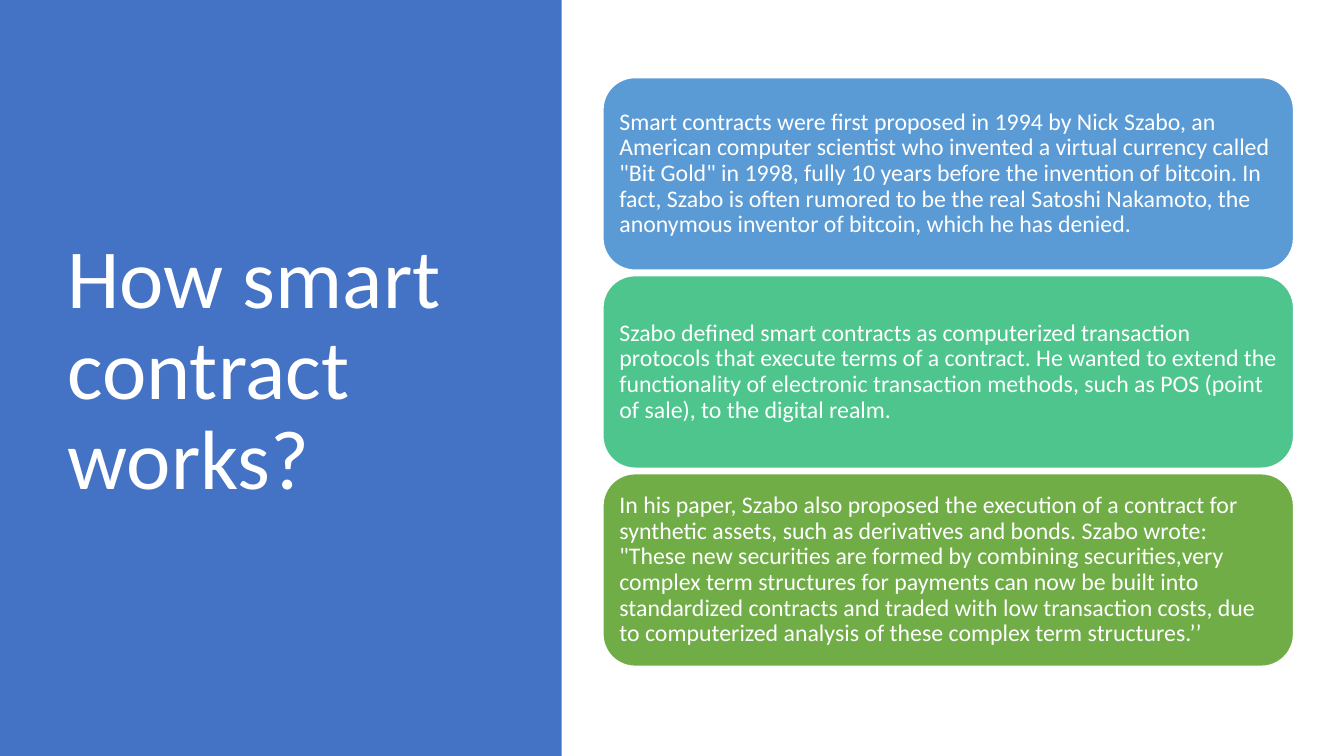
"""Build the slide on how smart contracts work."""
from pptx import Presentation
from pptx.dml.color import RGBColor
from pptx.enum.shapes import MSO_SHAPE
from pptx.enum.text import MSO_ANCHOR, PP_ALIGN
from pptx.util import Inches, Pt

COLORS = {
    "panel": "4472C4",
    "origin": "5B9BD5",
    "definition": "4DC58D",
    "proposal": "70AD47",
    "white": "FFFFFF",
}
FACTS = [
    ("origin", "Smart contracts were first proposed in 1994 by Nick Szabo, an American "
     "computer scientist who invented a virtual currency called \"Bit Gold\" in 1998, "
     "fully 10 years before the invention of bitcoin. In fact, Szabo is often rumored "
     "to be the real Satoshi Nakamoto, the anonymous inventor of bitcoin, which he has "
     "denied."),
    ("definition", "Szabo defined smart contracts as computerized transaction protocols "
     "that execute terms of a contract. He wanted to extend the functionality of "
     "electronic transaction methods, such as POS (point of sale), to the digital realm."),
    ("proposal", "In his paper, Szabo also proposed the execution of a contract for "
     "synthetic assets, such as derivatives and bonds. Szabo wrote: \"These new "
     "securities are formed by combining securities,very complex term structures for "
     "payments can now be built into standardized contracts and traded with low "
     "transaction costs, due to computerized analysis of these complex term "
     "structures.’’"),
]
CARD_TOP, CARD_HEIGHT, CARD_PITCH = 0.77, 1.91, 1.965


def add_block(kind, left, top, width, height, color):
    block = slide.shapes.add_shape(
        kind, Inches(left), Inches(top), Inches(width), Inches(height))
    block.shadow.inherit = False
    block.fill.solid()
    block.fill.fore_color.rgb = RGBColor.from_string(COLORS[color])
    block.line.fill.background()
    return block


def write(frame, text, size):
    frame.word_wrap = True
    frame.vertical_anchor = MSO_ANCHOR.MIDDLE
    paragraph = frame.paragraphs[0]
    paragraph.alignment = PP_ALIGN.LEFT
    paragraph.line_spacing = 0.9
    run = paragraph.add_run()
    run.text = text
    run.font.size = Pt(size)
    run.font.name = "Calibri"
    run.font.color.rgb = RGBColor.from_string(COLORS["white"])
    return paragraph


prs = Presentation()
prs.slide_width = Inches(13.33)
prs.slide_height = Inches(7.5)
slide = prs.slides.add_slide(prs.slide_layouts[5])

title = slide.shapes.title
title.left, title.top = Inches(0.57), Inches(0.68)
title.width, title.height = Inches(4.16), Inches(6.02)
write(title.text_frame, "How smart contract works?", 60)

panel = add_block(MSO_SHAPE.RECTANGLE, 0, 0, 5.57, 7.5, "panel")
title.element.addprevious(panel.element)

for row, (topic, fact) in enumerate(FACTS):
    card = add_block(MSO_SHAPE.ROUNDED_RECTANGLE, 5.98, CARD_TOP + row * CARD_PITCH,
                     6.85, CARD_HEIGHT, topic)
    card.line.color.rgb = RGBColor.from_string(COLORS["white"])
    card.line.width = Pt(1)
    frame = card.text_frame
    frame.margin_left = frame.margin_right = Inches(0.07)
    frame.margin_top = frame.margin_bottom = Inches(0.07)
    write(frame, fact, 17).space_after = Pt(6)

prs.save("out.pptx")
